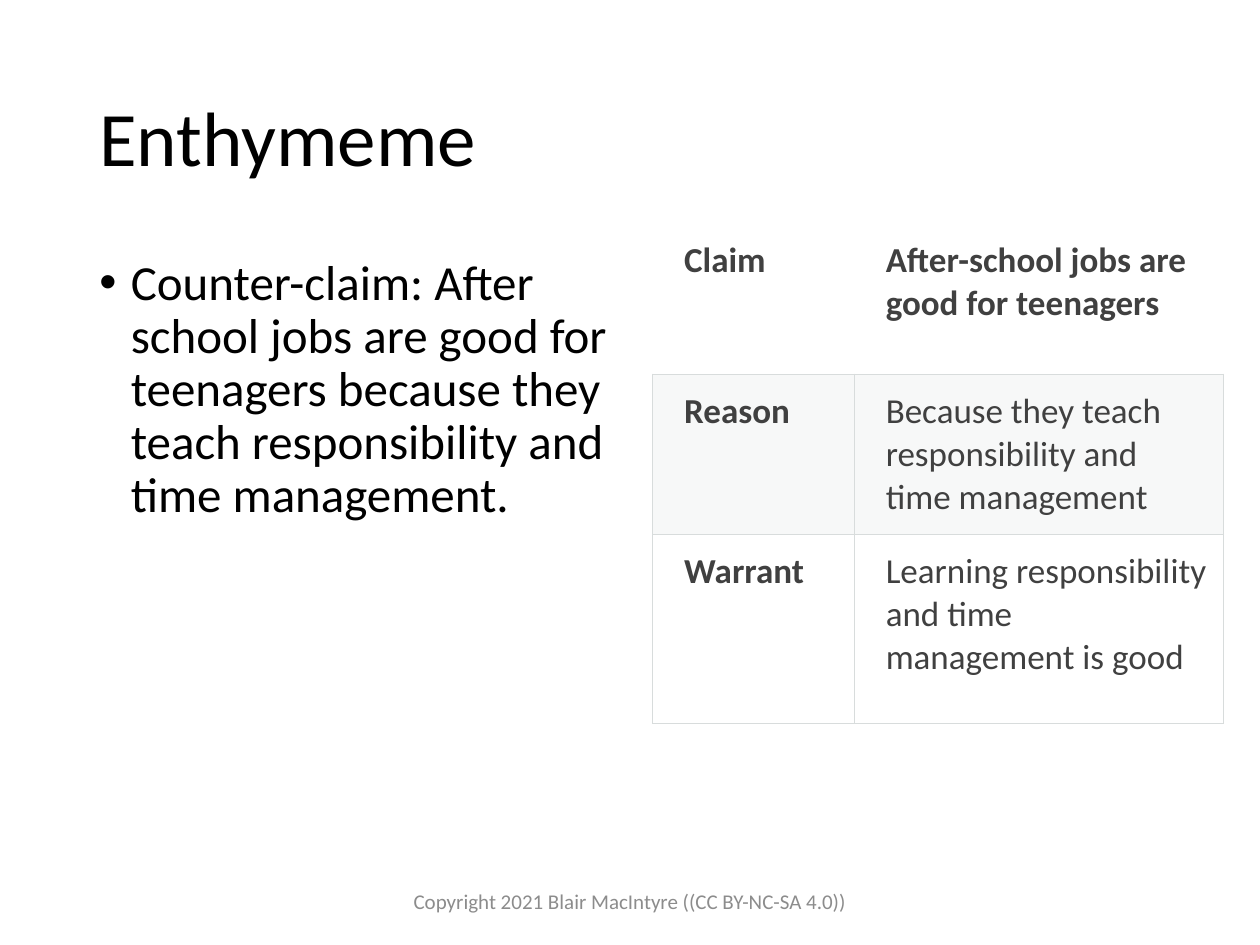
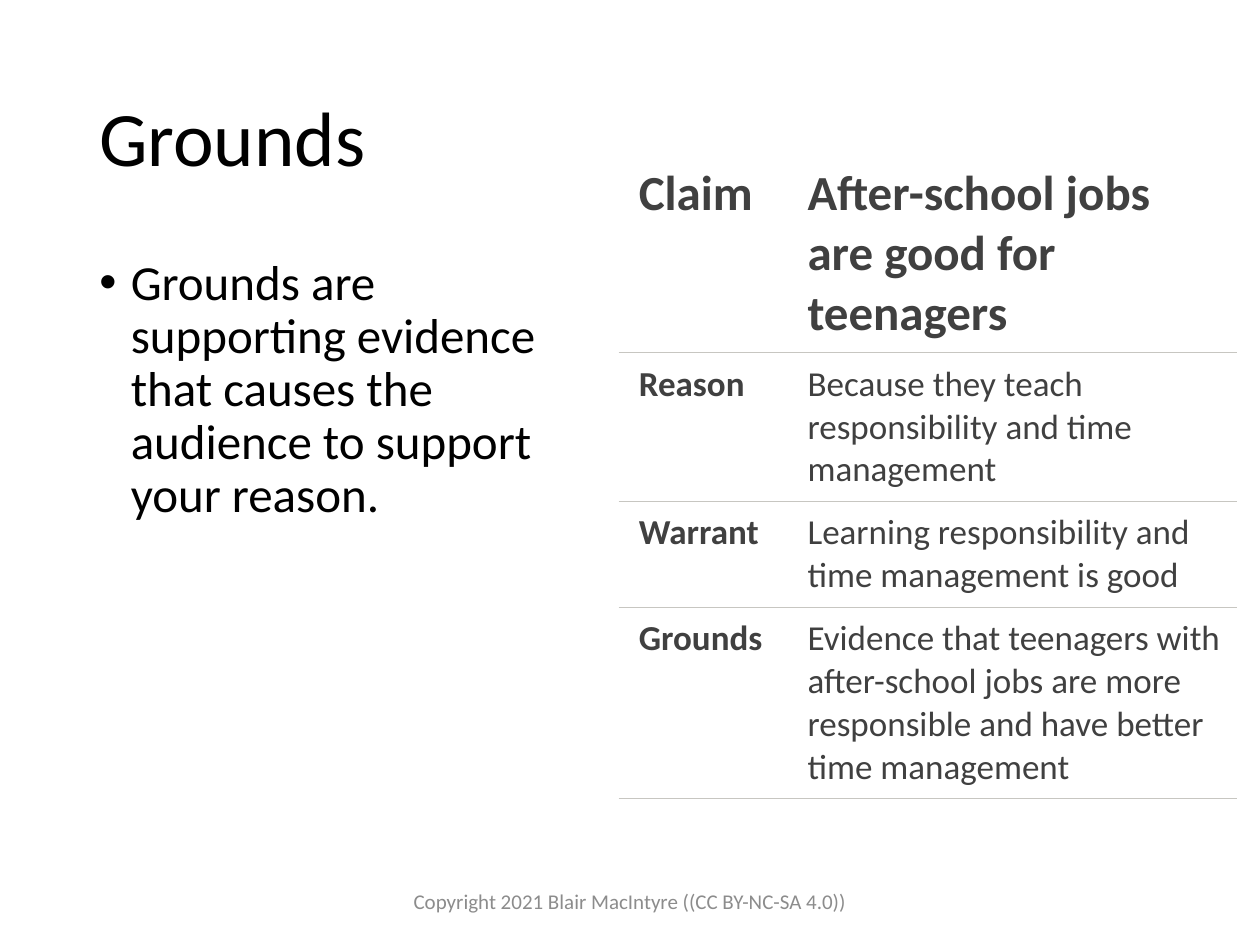
from dataclasses import dataclass

from lxml.etree import SubElement
from pptx import Presentation
from pptx.dml.color import RGBColor
from pptx.enum.text import MSO_ANCHOR, PP_ALIGN
from pptx.oxml.ns import qn
from pptx.util import Pt

EMU_PER_PX = 9144  # 100 px to the inch


@dataclass(frozen=True)
class Theme:
    font: str = "Calibri"
    ink: str = "000000"
    table_ink: str = "404040"
    footer_ink: str = "8C8C8C"
    row_tint: str = "D8DEDC"
    grid_line: str = "D8DCDC"
    rule_line: str = "C7C6C1"
    title_size: int = 44
    body_size: int = 28
    cell_size: int = 20
    footer_size: int = 12
    border_width: float = 0.75


THEME = Theme()
COPYRIGHT = "Copyright 2021 Blair MacIntyre ((CC BY-NC-SA 4.0))"


def px(length):
    return length * EMU_PER_PX


def apply(target, formats):
    for name, value in formats.items():
        setattr(target, name, value)


def write(paragraph, text, size, color, bold=False):
    run = paragraph.add_run()
    run.text = text
    apply(run.font, {"name": THEME.font, "size": Pt(size), "bold": bold})
    run.font.color.rgb = RGBColor.from_string(color)


def add_text(slide, box, text, size, color, anchor=MSO_ANCHOR.TOP, bullet=False, **paragraph_format):
    frame = slide.shapes.add_textbox(*map(px, box)).text_frame
    apply(frame, {"word_wrap": True, "vertical_anchor": anchor})
    paragraph = frame.paragraphs[0]
    apply(paragraph, paragraph_format)
    if bullet:
        properties = paragraph._p.get_or_add_pPr()
        properties.set("marL", str(px(25)))
        properties.set("indent", str(-px(25)))
        SubElement(properties, qn("a:buFont"), typeface="Arial")
        SubElement(properties, qn("a:buChar"), char="•")
    write(paragraph, text, size, color)


def set_borders(cell, sides, color):
    """Draw the sides named in a string such as "LRTB" and clear the others."""
    properties = cell._tc.get_or_add_tcPr()
    for side in "LRTB":
        line = SubElement(properties, qn(f"a:ln{side}"), w=str(Pt(THEME.border_width)))
        if side in sides:
            fill = SubElement(line, qn("a:solidFill"))
            SubElement(fill, qn("a:srgbClr"), val=color)
        else:
            SubElement(line, qn("a:noFill"))


def set_fill(cell, color, opacity=20):
    if color is None:
        cell.fill.background()
        return
    cell.fill.solid()
    cell.fill.fore_color.rgb = RGBColor.from_string(color)
    tint = cell._tc.tcPr.find(f"{qn('a:solidFill')}/{qn('a:srgbClr')}")
    SubElement(tint, qn("a:alpha"), val=str(opacity * 1000))


def add_argument_table(slide, origin, widths, heights, insets, rows, line_color,
                       row_sides, header_size=THEME.cell_size, tinted_row=None):
    """Rows pair a part of the argument with its wording; the first is the header."""
    table = slide.shapes.add_table(len(rows), len(widths), *map(px, origin),
                                   px(sum(widths)), px(sum(heights))).table
    apply(table, {"first_row": False, "horz_banding": False})
    for column, width in zip(table.columns, widths):
        column.width = px(width)
    for row, height in zip(table.rows, heights):
        row.height = px(height)
    margins = dict(zip(("margin_left", "margin_top", "margin_right", "margin_bottom"),
                       map(px, insets)))
    for r, row in enumerate(rows):
        for c, text in enumerate(row):
            cell = table.cell(r, c)
            apply(cell, margins)
            set_borders(cell, "B" if r == 0 else row_sides, line_color)
            set_fill(cell, THEME.row_tint if r == tinted_row else None)
            size = header_size if r == 0 else THEME.cell_size
            write(cell.text_frame.paragraphs[0], text, size, THEME.table_ink,
                  bold=r == 0 or c == 0)


def add_lesson_slide(deck, title, point, point_width):
    slide = deck.slides.add_slide(deck.slide_layouts[6])
    add_text(slide, (69, 40, 862, 145), title, THEME.title_size, THEME.ink,
             anchor=MSO_ANCHOR.MIDDLE, line_spacing=0.9)
    add_text(slide, (69, 200, point_width, 476), point, THEME.body_size, THEME.ink,
             bullet=True, line_spacing=0.9)
    add_text(slide, (308, 695, 384, 40), COPYRIGHT, THEME.footer_size, THEME.footer_ink,
             anchor=MSO_ANCHOR.MIDDLE, alignment=PP_ALIGN.CENTER)
    return slide


def main():
    deck = Presentation()
    apply(deck, {"slide_width": px(1000), "slide_height": px(750)})

    argument = [
        ("Claim", "After-school jobs are good for teenagers"),
        ("Reason", "Because they teach responsibility and time management"),
        ("Warrant", "Learning responsibility and time management is good"),
    ]
    grounds = ("Grounds", "Evidence that teenagers with after-school jobs are more "
               "responsible and have better time management")

    # Enthymeme: boxed table with a tinted reason
    enthymeme_slide = add_lesson_slide(
        deck, "Enthymeme",
        "Counter-claim: After school jobs are good for teenagers because they "
        "teach responsibility and time management.", 431)
    add_argument_table(enthymeme_slide, (518, 177), (160, 293), (120, 127, 150),
                       (25, 13, 13, 13), argument, THEME.grid_line, "LRTB", tinted_row=1)

    # Grounds: ruled table with a larger claim
    grounds_slide = add_lesson_slide(
        deck, "Grounds",
        "Grounds are supporting evidence that causes the audience to support "
        "your reason.", 404)
    add_argument_table(grounds_slide, (491, 122), (134, 357), (158, 118, 84, 152),
                       (16, 8, 12, 8), argument + [grounds], THEME.rule_line, "TB",
                       header_size=THEME.body_size)

    deck.save("out.pptx")


if __name__ == "__main__":
    main()
